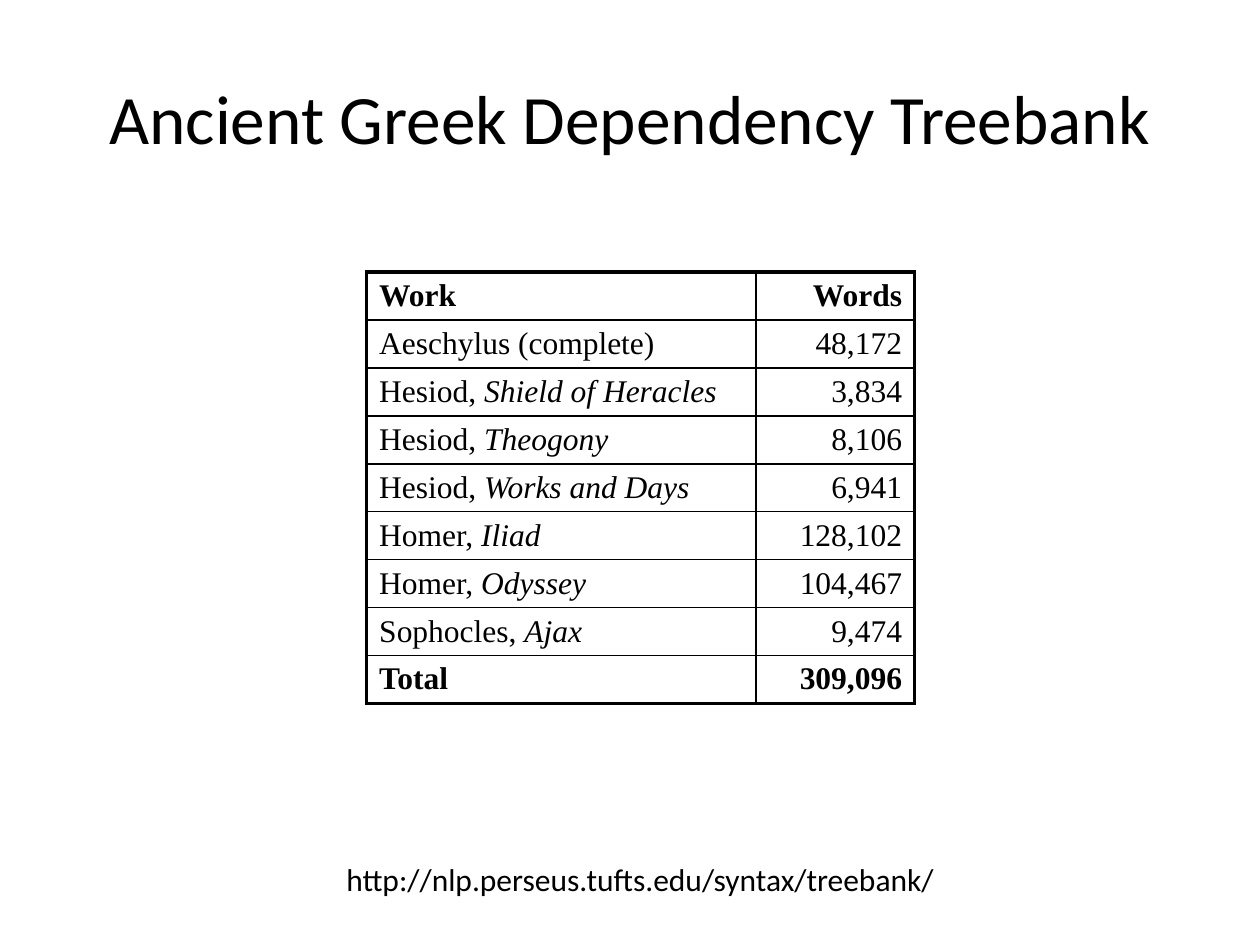
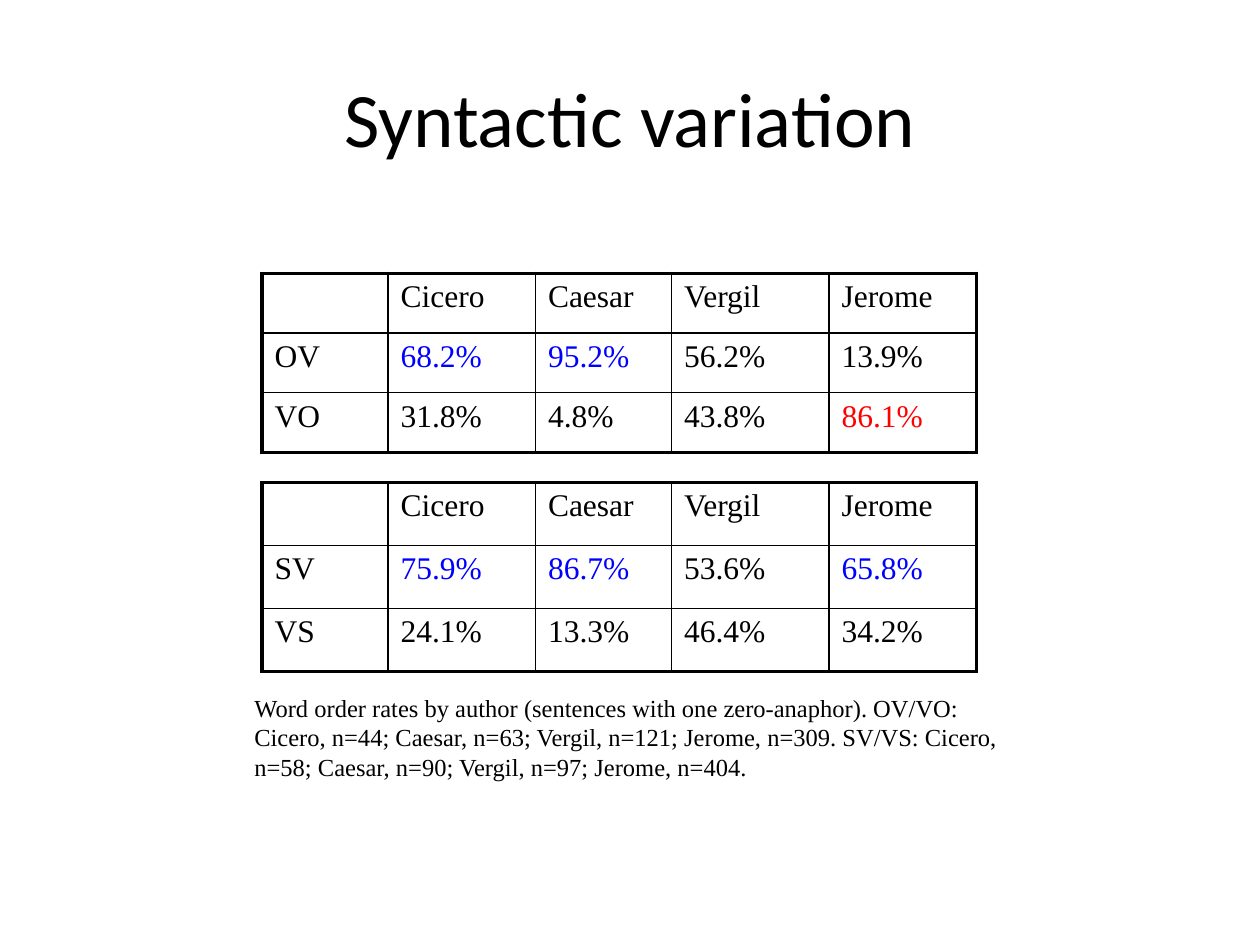
from collections import namedtuple
from dataclasses import dataclass

from lxml import etree
from pptx import Presentation
from pptx import util as u
from pptx.dml.color import RGBColor
from pptx.enum import text
from pptx.oxml import ns

Box = namedtuple("Box", "left top width height")


@dataclass(frozen=True)
class Theme:
    """Colours, fonts and sizes shared by the slides."""
    ink: str = "000000"
    high: str = "0000FF"
    reverse: str = "FF0000"
    sans: str = "Calibri"
    serif: str = "Times New Roman"
    title: float = 44
    long_title: float = 39.6
    body: float = 18
    caption: float = 14
    frame: float = 2.25
    rule: float = 1


THEME = Theme()
TITLE_BOX = Box(0.5, 0.3, 9, 1.25)
WORKS = [
    ("Aeschylus (complete)", "", "48,172"),
    ("Hesiod, ", "Shield of Heracles", "3,834"),
    ("Hesiod, ", "Theogony", "8,106"),
    ("Hesiod, ", "Works and Days", "6,941"),
    ("Homer, ", "Iliad", "128,102"),
    ("Homer, ", "Odyssey", "104,467"),
    ("Sophocles, ", "Ajax", "9,474"),
]
AUTHORS = ["", "Cicero", "Caesar", "Vergil", "Jerome"]
OBJECT_ORDER = [
    AUTHORS,
    ["OV", "68.2%", "95.2%", "56.2%", "13.9%"],
    ["VO", "31.8%", "4.8%", "43.8%", "86.1%"],
]
SUBJECT_ORDER = [
    AUTHORS,
    ["SV", "75.9%", "86.7%", "53.6%", "65.8%"],
    ["VS", "24.1%", "13.3%", "46.4%", "34.2%"],
]
SAMPLE_SIZES = (
    "Word order rates by author (sentences with one zero-anaphor). "
    "OV/VO: Cicero, n=44; Caesar, n=63; Vergil, n=121; Jerome, n=309. "
    "SV/VS: Cicero, n=58; Caesar, n=90; Vergil, n=97; Jerome, n=404."
)


def place(box):
    """Convert a box in inches to slide lengths."""
    return [u.Inches(length) for length in box]


def style(run, face, size, colour=THEME.ink, bold=False, italic=False):
    """Format one run."""
    font = run.font
    font.name, font.size = face, u.Pt(size)
    font.bold, font.italic = bold, italic
    font.color.rgb = RGBColor.from_string(colour)


def add_text(slide, box, wording, face, size, wrap=True):
    """Add a one-paragraph text box and return its frame."""
    frame = slide.shapes.add_textbox(*place(box)).text_frame
    frame.word_wrap = wrap
    frame.text = wording
    style(frame.paragraphs[0].runs[0], face, size)
    return frame


def add_title(slide, wording, size=THEME.title):
    """Add the centred slide title."""
    frame = add_text(slide, TITLE_BOX, wording, THEME.sans, size)
    frame.vertical_anchor = text.MSO_ANCHOR.MIDDLE
    frame.paragraphs[0].alignment = text.PP_ALIGN.CENTER


def add_border(cell, side, width):
    """Draw one solid side of a cell."""
    line = etree.SubElement(cell._tc.get_or_add_tcPr(), ns.qn(f"a:ln{side}"),
                            w=str(u.Pt(width)))
    fill = etree.SubElement(line, ns.qn("a:solidFill"))
    etree.SubElement(fill, ns.qn("a:srgbClr"), val=THEME.ink)


def add_grid(slide, box, widths, rows):
    """Add a ruled table with equal rows and a heavier outer frame."""
    table = slide.shapes.add_table(len(rows), len(widths), *place(box)).table
    table.first_row = table.horz_banding = False
    for column, width in zip(table.columns, widths):
        column.width = u.Inches(width)
    last_row, last_column = len(rows) - 1, len(widths) - 1
    for i, entries in enumerate(rows):
        table.rows[i].height = u.Inches(box.height / len(rows))
        for j, entry in enumerate(entries):
            cell = table.cell(i, j)
            outer = {"L": j == 0, "R": j == last_column,
                     "T": i == 0, "B": i == last_row}
            for side, framed in outer.items():
                add_border(cell, side, THEME.frame if framed else THEME.rule)
            cell.fill.background()
            cell.margin_top, cell.margin_bottom = u.Inches(0.05), u.Inches(0.03)
            if entry:
                cell.text_frame.text = entry
                style(cell.text_frame.paragraphs[0].runs[0], THEME.serif, THEME.body)
    return table


def add_word_counts(slide, box):
    """Add the table of works, with italic titles and bold outer rows."""
    rows = [("Work", "Words"), *((author, words) for author, _, words in WORKS),
            ("Total", "309,096")]
    table = add_grid(slide, box, [3.09, 1.26], rows)
    for i in range(len(rows)):
        table.cell(i, 1).text_frame.paragraphs[0].alignment = text.PP_ALIGN.RIGHT
    for i in (0, len(rows) - 1):
        for j in range(2):
            table.cell(i, j).text_frame.paragraphs[0].runs[0].font.bold = True
    for i, (_, work, _) in enumerate(WORKS, 1):
        if work:
            run = table.cell(i, 0).text_frame.paragraphs[0].add_run()
            run.text = work
            style(run, THEME.serif, THEME.body, italic=True)


def add_order_rates(slide, box, rows, highlights):
    """Add a table of word order rates with coloured cells."""
    table = add_grid(slide, box, [1, 1.17, 1.08, 1.25, 1.17], rows)
    for (i, j), colour in highlights.items():
        run = table.cell(i, j).text_frame.paragraphs[0].runs[0]
        run.font.color.rgb = RGBColor.from_string(colour)


def build_treebank(slide):
    """Build the treebank slide."""
    add_title(slide, "Ancient Greek Dependency Treebank", THEME.long_title)
    add_word_counts(slide, Box(2.91, 2.16, 4.35, 3.39))
    add_text(slide, Box(2.65, 6.78, 4.91, 0.4),
             "http://nlp.perseus.tufts.edu/syntax/treebank/",
             THEME.sans, THEME.body, wrap=False)


def build_variation(slide):
    """Build the syntactic variation slide."""
    add_title(slide, "Syntactic variation")
    add_order_rates(slide, Box(2.08, 2.17, 5.67, 1.42), OBJECT_ORDER,
                    {(1, 1): THEME.high, (1, 2): THEME.high, (2, 4): THEME.reverse})
    add_order_rates(slide, Box(2.08, 3.83, 5.67, 1.5), SUBJECT_ORDER,
                    {(1, j): THEME.high for j in (1, 2, 4)})
    add_text(slide, Box(1.92, 5.45, 6.25, 0.81), SAMPLE_SIZES,
             THEME.serif, THEME.caption)


def main():
    """Build and save the slides."""
    deck = Presentation()
    deck.slide_width, deck.slide_height = u.Inches(10), u.Inches(7.5)
    for build in (build_treebank, build_variation):
        build(deck.slides.add_slide(deck.slide_layouts[6]))
    deck.save("out.pptx")


if __name__ == "__main__":
    main()
